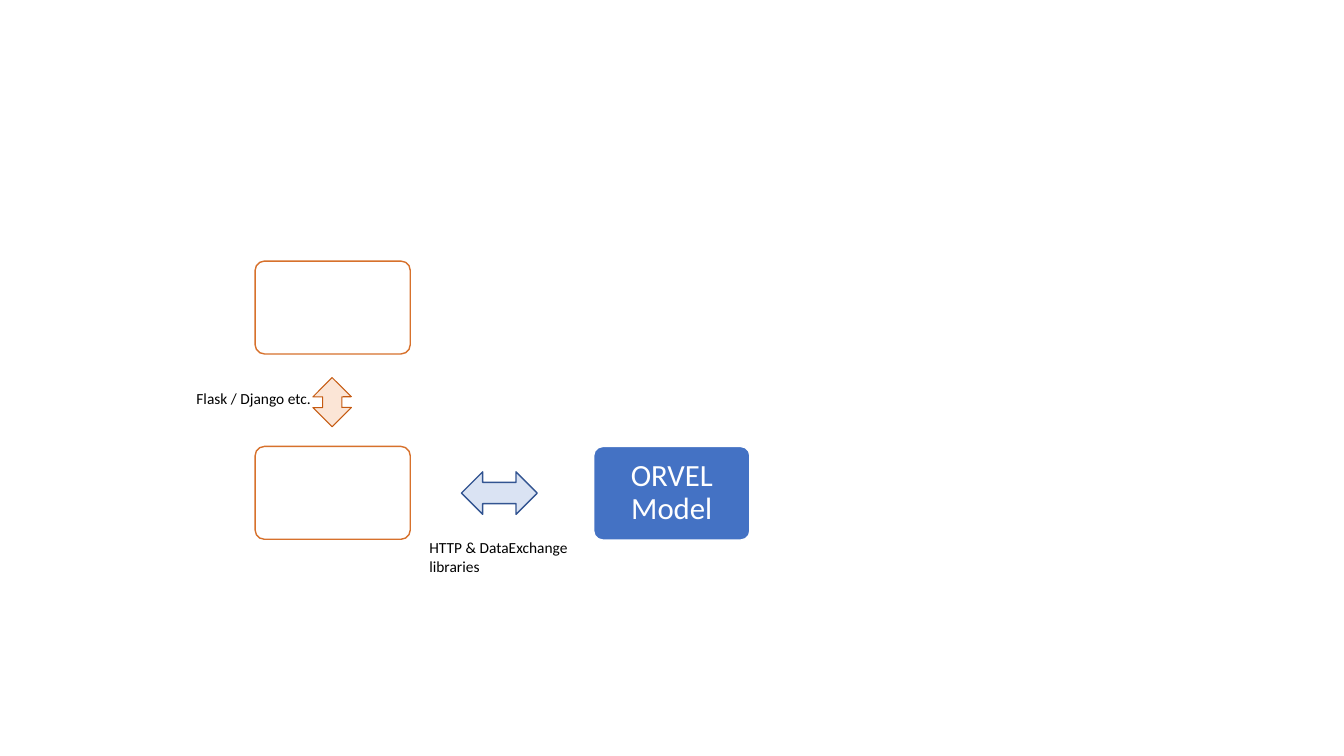
"""Builds a slide of a web app layer that talks to a model over HTTP."""
from pptx import Presentation
from pptx.dml.color import RGBColor
from pptx.enum.shapes import MSO_SHAPE
from pptx.enum.text import MSO_ANCHOR, MSO_AUTO_SIZE, PP_ALIGN
from pptx.util import Cm, Pt


def tint(code):
    return RGBColor.from_string(code)


def write(frame, lines, size, color, align, space):
    frame.text = lines
    for para in frame.paragraphs:
        para.alignment = align
        para.line_spacing = space
        font = para.font
        font.name, font.size = "Calibri", Pt(size)
        font.color.rgb = tint(color)


deck = Presentation()
deck.slide_width, deck.slide_height = Cm(33.87), Cm(19.05)
slide = deck.slides.add_slide(deck.slide_layouts[6])

BOX, ARROW = MSO_SHAPE.ROUNDED_RECTANGLE, MSO_SHAPE.LEFT_RIGHT_ARROW
parts = [
    (BOX, 6.43, 6.58, 3.91, 2.34, 0, "FFFFFF", "D7712C", 1, ""),
    (ARROW, 7.75, 9.65, 1.24, 0.97, 89.8, "FBE5D6", "C55A11", 0.75, ""),
    (BOX, 6.43, 11.25, 3.91, 2.34, 0, "FFFFFF", "D7712C", 1, ""),
    (BOX, 14.96, 11.25, 3.94, 2.36, 0, "4472C4", "FFFFFF", 1, "ORVEL Model"),
    (ARROW, 11.63, 11.89, 1.91, 1.07, 0, "DAE3F3", "325491", 1, ""),
]
for kind, left, top, width, height, turn, fill, line, weight, text in parts:
    shape = slide.shapes.add_shape(kind, Cm(left), Cm(top), Cm(width), Cm(height))
    shape.shadow.inherit = False
    shape.rotation = turn
    shape.fill.solid()
    shape.fill.fore_color.rgb = tint(fill)
    shape.line.color.rgb = tint(line)
    shape.line.width = Pt(weight)
    if kind == BOX:
        shape.adjustments[0] = 0.1
    if text:
        frame = shape.text_frame
        format = {
            "word_wrap": True, "vertical_anchor": MSO_ANCHOR.MIDDLE,
            "margin_left": Cm(0.3), "margin_right": Cm(0.3),
            "margin_top": Cm(0.3), "margin_bottom": Cm(0.3),
        }
        for name, value in format.items():
            setattr(frame, name, value)
        write(frame, text, 22, "FFFFFF", PP_ALIGN.CENTER, 0.9)

labels = [
    ("Flask / Django etc.", 4.7, 9.68, 3.4, 0.73),
    ("HTTP & DataExchange\nlibraries", 10.57, 13.44, 4.04, 1.2),
]
for text, left, top, width, height in labels:
    label = slide.shapes.add_textbox(Cm(left), Cm(top), Cm(width), Cm(height))
    frame = label.text_frame
    frame.word_wrap = False
    frame.auto_size = MSO_AUTO_SIZE.SHAPE_TO_FIT_TEXT
    write(frame, text, 11, "000000", PP_ALIGN.LEFT, 1.0)

deck.save("out.pptx")
